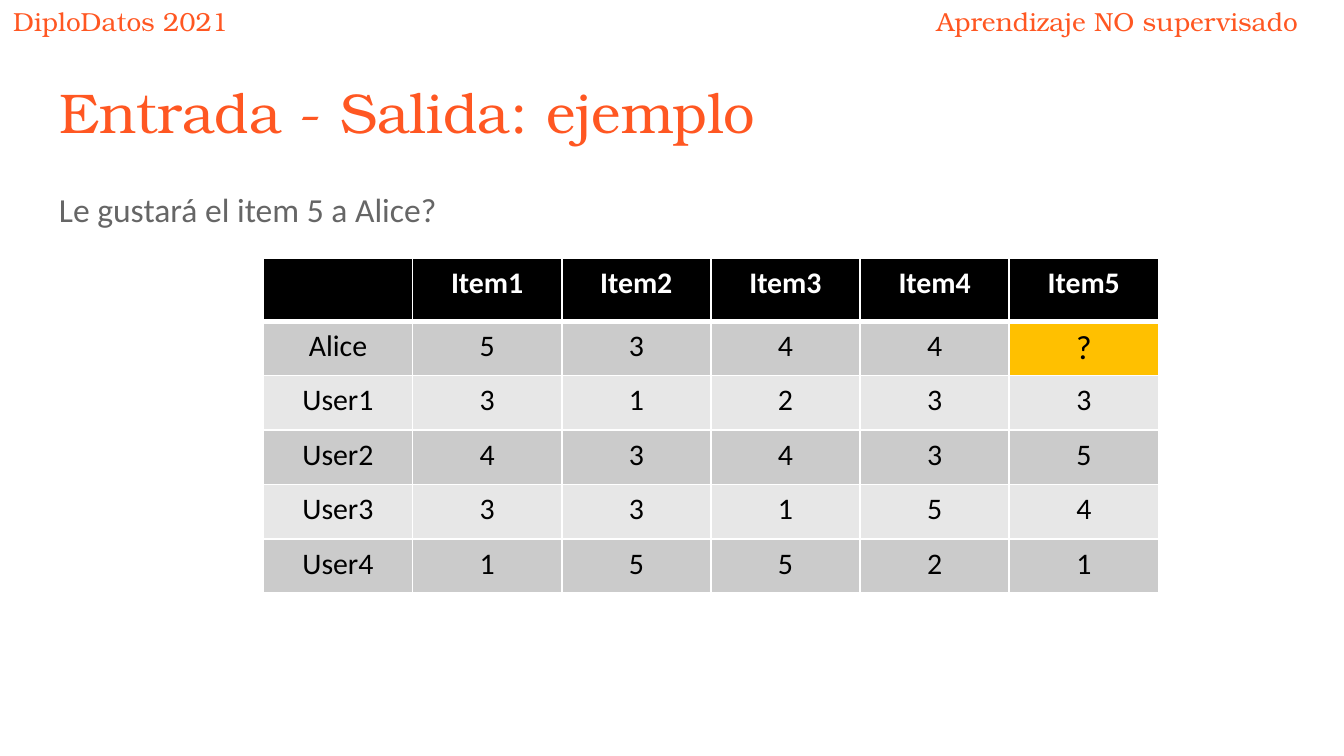
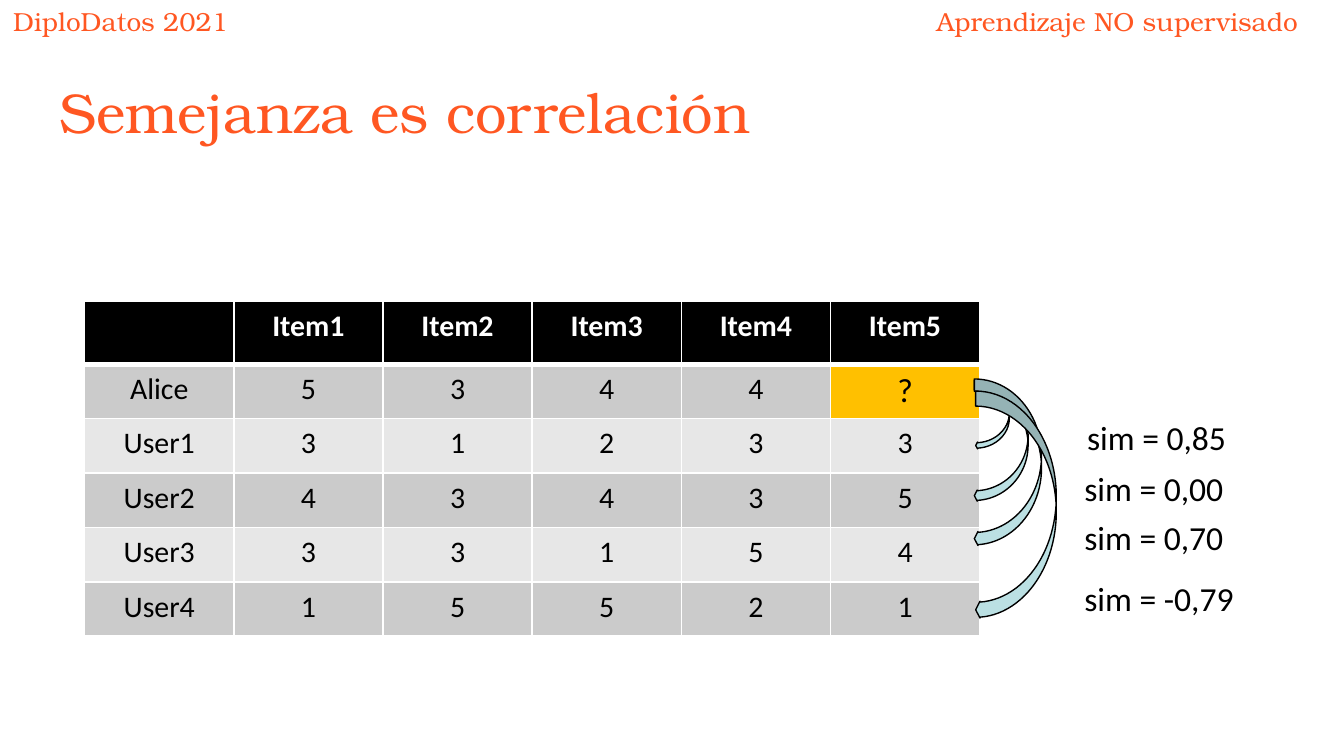
from lxml import etree
from pptx import Presentation
from pptx import util as u
from pptx.dml.color import RGBColor
from pptx.enum import shapes, text
from pptx.oxml.ns import qn

WIDE = 10
HIGH = WIDE * 9 / 16
SERIF, SANS = "TeX Gyre Bonum", "Calibri"
ORANGE = RGBColor(0xFF, 0x57, 0x22)
GREY = RGBColor(0x66, 0x66, 0x66)
BLACK = RGBColor(0, 0, 0)
WHITE = RGBColor(0xFF, 0xFF, 0xFF)
DARK = RGBColor(0xCB, 0xCB, 0xCB)
LIGHT = RGBColor(0xE7, 0xE7, 0xE7)
AMBER = RGBColor(0xFF, 0xC0, 0x00)
AQUA = RGBColor(0xBB, 0xE0, 0xE3)

HEADS = [("DiploDatos 2021", (0, -0.06, 2.04, 0.34)),
         ("Aprendizaje NO supervisado", (6.87, -0.06, 3.17, 0.34))]
TITLE = (0.34, 0.48, 9.32, 0.63)
BODY = (0.34, 1.26, 9.32, 3.74)
COL, TOP, ROW = 1.11, 0.47, 0.405

RATINGS = [
    ["", "Item1", "Item2", "Item3", "Item4", "Item5"],
    ["Alice", 5, 3, 4, 4, "?"],
    ["User1", 3, 1, 2, 3, 3],
    ["User2", 4, 3, 4, 3, 5],
    ["User3", 3, 3, 1, 5, 4],
    ["User4", 1, 5, 5, 2, 1],
]
# label, label place, arrow place, arrow adjustments
SIMS = [
    ("sim = 0,85", (7.99, 3.05), (7.26, 2.85, 0.25, 0.49), (0.162, 0.202, 0.054)),
    ("sim = 0,00", (7.97, 3.43), (7.25, 2.83, 0.40, 0.90), (0.18, 0.207, 0.054)),
    ("sim = 0,70", (7.97, 3.80), (7.25, 2.82, 0.50, 1.24), (0.183, 0.208, 0.054)),
    ("sim = -0,79", (7.97, 4.25), (7.26, 2.91, 0.60, 1.69), (0.187, 0.209, 0.054)),
]


def inch(box):
    """Turn a tuple of inches into lengths."""
    return [u.Inches(n) for n in box]


def style(par, size, color, face=SANS, bold=False):
    """Set the font of a paragraph."""
    font = par.font
    font.size, font.name, font.bold = u.Pt(size), face, bold
    font.color.rgb = color


def fill_text(shape, words, size, color, face=SANS, pad=0.1):
    """Write one left-aligned paragraph at the top of a shape."""
    frame = shape.text_frame
    frame.text = words
    frame.word_wrap = True
    frame.auto_size = text.MSO_AUTO_SIZE.NONE
    frame.vertical_anchor = text.MSO_ANCHOR.TOP
    frame.margin_left = frame.margin_right = u.Inches(0.1)
    frame.margin_top = frame.margin_bottom = u.Inches(pad)
    par = frame.paragraphs[0]
    par.alignment = text.PP_ALIGN.LEFT
    style(par, size, color, face)
    return par


def add_text(slide, words, box, *look, **more):
    """Add a text box."""
    return fill_text(slide.shapes.add_textbox(*inch(box)), words, *look, **more)


def add_page(deck, title):
    """Add a slide with the running heads and a title."""
    slide = deck.slides.add_slide(deck.slide_layouts[5])
    for words, box in HEADS:
        add_text(slide, words, box, 14, ORANGE, SERIF)
    head = slide.shapes.title
    head.left, head.top, head.width, head.height = inch(TITLE)
    fill_text(head, title, 30, ORANGE, SERIF)
    return slide


def edge(cell, sides):
    """Draw white cell borders; sides maps a tag to a width in points."""
    props = cell._tc.get_or_add_tcPr()
    for tag, width in sides.items():
        line = etree.SubElement(props, qn("a:" + tag), w=str(int(u.Pt(width))))
        paint = etree.SubElement(line, qn("a:solidFill"))
        etree.SubElement(paint, qn("a:srgbClr"), val=str(WHITE))


def add_grid(slide, left, top):
    """Add the table of ratings."""
    rows, cols = len(RATINGS), len(RATINGS[0])
    size = (left, top, cols * COL, TOP + (rows - 1) * ROW)
    grid = slide.shapes.add_table(rows, cols, *inch(size)).table
    for col in grid.columns:
        col.width = u.Inches(COL)
    for r, row in enumerate(RATINGS):
        grid.rows[r].height = u.Inches(ROW if r else TOP)
        for c, value in enumerate(row):
            cell = grid.cell(r, c)
            edge(cell, {"lnL": 0.96, "lnR": 0.96,
                        "lnT": 3 if r == 1 else 0.96,
                        "lnB": 3 if r == 0 else 0.96})
            asked = value == "?"
            band = DARK if r % 2 else LIGHT
            cell.fill.solid()
            cell.fill.fore_color.rgb = AMBER if asked else band if r else BLACK
            cell.text = str(value)
            par = cell.text_frame.paragraphs[0]
            par.alignment = text.PP_ALIGN.CENTER
            style(par, 18 if asked else 16, BLACK if r else WHITE, bold=r == 0)


def add_sim(slide, words, spot, box, bends):
    """Add a curved arrow and its similarity label."""
    arrow = slide.shapes.add_shape(shapes.MSO_SHAPE.CURVED_LEFT_ARROW, *inch(box))
    for i, bend in enumerate(bends):
        arrow.adjustments[i] = bend
    arrow.shadow.inherit = False
    arrow.fill.solid()
    arrow.fill.fore_color.rgb = AQUA
    arrow.line.color.rgb = BLACK
    arrow.line.width = u.Pt(0.75)
    add_text(slide, words, (*spot, 1.6, 0.38), 18, BLACK, pad=0.05)


deck = Presentation()
deck.slide_width, deck.slide_height = inch((WIDE, HIGH))

page = add_page(deck, "Entrada - Salida: ejemplo")
add_text(page, "Le gustará el item 5 a Alice?", BODY, 18, GREY).line_spacing = 1.15
add_grid(page, 1.96, 1.92)

page = add_page(deck, "Semejanza es correlación")
add_grid(page, 0.63, 2.24)
for sim in SIMS:
    add_sim(page, *sim)

deck.save("out.pptx")
